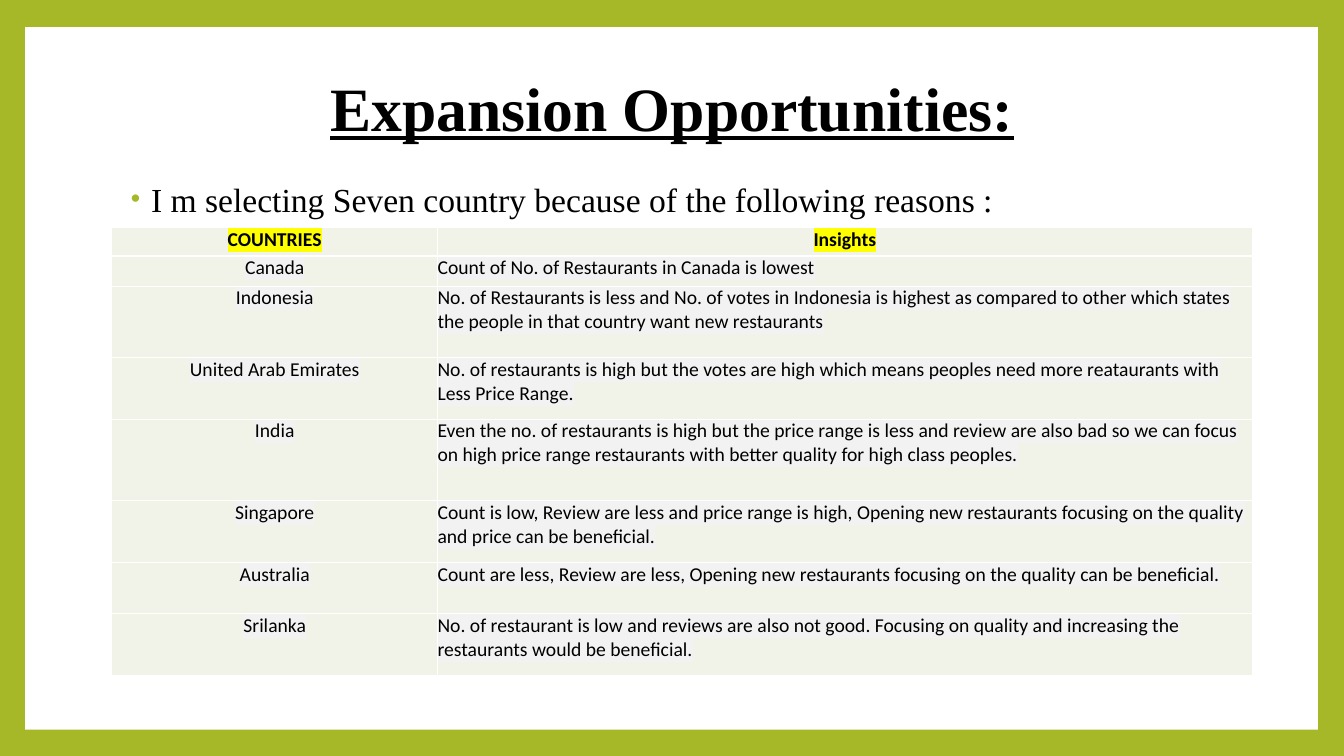
import pptx
import pptx.util
import pptx.dml.color
import pptx.enum.shapes
import pptx.enum.text
import pptx.oxml.ns
import lxml.etree

Inches, Pt = pptx.util.Inches, pptx.util.Pt
ALIGN = pptx.enum.text.PP_ALIGN
qn = pptx.oxml.ns.qn
hues = {"lime": "A6B727", "white": "FFFFFF", "ink": "000000",
        "cell": "F1F3E8", "mark": "FFFF00", "pale": "F2F2F2"}


def add_hue(parent, tag, hue):
    """Add a tag that holds a single colour."""
    node = lxml.etree.SubElement(parent, qn(tag))
    lxml.etree.SubElement(node, qn("a:srgbClr"), val=hues[hue])


def write(frame, text, font, size, align, bold=False):
    """Set the text of a frame and return its paragraph."""
    para = frame.paragraphs[0]
    para.text = text
    para.alignment = align
    para.font.name, para.font.size, para.font.bold = font, Pt(size), bold
    para.font.color.rgb = pptx.dml.color.RGBColor.from_string(hues["ink"])
    return para


deck = pptx.Presentation()
deck.slide_width, deck.slide_height = Inches(13.33), Inches(7.5)
slide = deck.slides.add_slide(deck.slide_layouts[6])

# Lime background with a white panel
back = slide.background.fill
back.solid()
back.fore_color.rgb = pptx.dml.color.RGBColor.from_string(hues["lime"])
panel = slide.shapes.add_shape(
    pptx.enum.shapes.MSO_SHAPE.RECTANGLE,
    Inches(0.25), Inches(0.27), Inches(12.82), Inches(6.97))
panel.shadow.inherit = False
panel.fill.solid()
panel.fill.fore_color.rgb = pptx.dml.color.RGBColor.from_string(hues["white"])
panel.line.fill.background()

# Title
title = slide.shapes.add_textbox(
    Inches(0.62), Inches(0.38), Inches(12.09), Inches(1.45)).text_frame
title.word_wrap = True
title.vertical_anchor = pptx.enum.text.MSO_ANCHOR.MIDDLE
head = write(title, "Expansion Opportunities:", "Times New Roman", 44,
             ALIGN.CENTER, True)
head.font.underline = True
head.line_spacing = 0.9

# Bulleted lead line
lead = slide.shapes.add_textbox(
    Inches(1.15), Inches(1.85), Inches(10.35), Inches(0.33)).text_frame
lead.word_wrap = True
lead.margin_top = lead.margin_bottom = 0
point = write(lead,
              "I m selecting Seven country because of the following reasons :",
              "Times New Roman", 24, ALIGN.LEFT)
point.line_spacing = 0.8
props = point._p.get_or_add_pPr()
props.set("marL", str(Inches(0.25)))
props.set("indent", str(Inches(-0.2)))
bullet = lxml.etree.Element(qn("a:bullet"))
add_hue(bullet, "a:buClr", "lime")
lxml.etree.SubElement(bullet, qn("a:buSzPct"), val="80000")
lxml.etree.SubElement(bullet, qn("a:buFont"), typeface="Arial")
lxml.etree.SubElement(bullet, qn("a:buChar"), char="•")
last = props.find(qn("a:defRPr"))
for node in list(bullet):
    last.addprevious(node)

# Table: row height, country, insight
rows = [
    (0.28, "COUNTRIES", "Insights"),
    (0.30, "Canada", "Count of No. of Restaurants in Canada is lowest"),
    (0.71, "Indonesia",
     "No. of Restaurants is less and No. of votes in Indonesia is highest as "
     "compared to other which states the people in that country want new "
     "restaurants"),
    (0.61, "United Arab Emirates",
     "No. of restaurants is high but the votes are high which means peoples "
     "need more reataurants with Less Price Range."),
    (0.81, "India",
     "Even the no. of restaurants is high but the price range is less and "
     "review are also bad so we can focus on high price range restaurants "
     "with better quality for high class peoples."),
    (0.61, "Singapore",
     "Count is low, Review are less and price range is high, Opening new "
     "restaurants focusing on the quality and price can be beneficial."),
    (0.51, "Australia",
     "Count are less, Review are less, Opening new restaurants focusing on "
     "the quality can be beneficial."),
    (0.61, "Srilanka",
     "No. of restaurant is low and reviews are also not good. Focusing on "
     "quality and increasing the restaurants would be beneficial."),
]
widths = [3.23, 8.08]
table = slide.shapes.add_table(
    len(rows), len(widths), Inches(1.11), Inches(2.26),
    Inches(sum(widths)), Inches(sum(row[0] for row in rows))).table
for col, width in enumerate(widths):
    table.columns[col].width = Inches(width)

for num, (height, *texts) in enumerate(rows):
    table.rows[num].height = Inches(height)
    top = num == 0
    for col, text in enumerate(texts):
        cell = table.cell(num, col)
        cell.margin_left = cell.margin_right = 0
        cell.margin_top = cell.margin_bottom = 0
        align = ALIGN.CENTER if top or col == 0 else ALIGN.LEFT
        para = write(cell.text_frame, text, "Calibri", 14, align, top)
        add_hue(para.runs[0]._r.get_or_add_rPr(), "a:highlight",
                "mark" if top else "pale")
        # Borders come before the fill
        for side in "LRTB":
            edge = lxml.etree.SubElement(
                cell._tc.get_or_add_tcPr(), qn("a:ln" + side), w=str(Pt(1)))
            add_hue(edge, "a:solidFill", "white")
        cell.fill.solid()
        cell.fill.fore_color.rgb = pptx.dml.color.RGBColor.from_string(
            hues["cell"])

deck.save("out.pptx")
